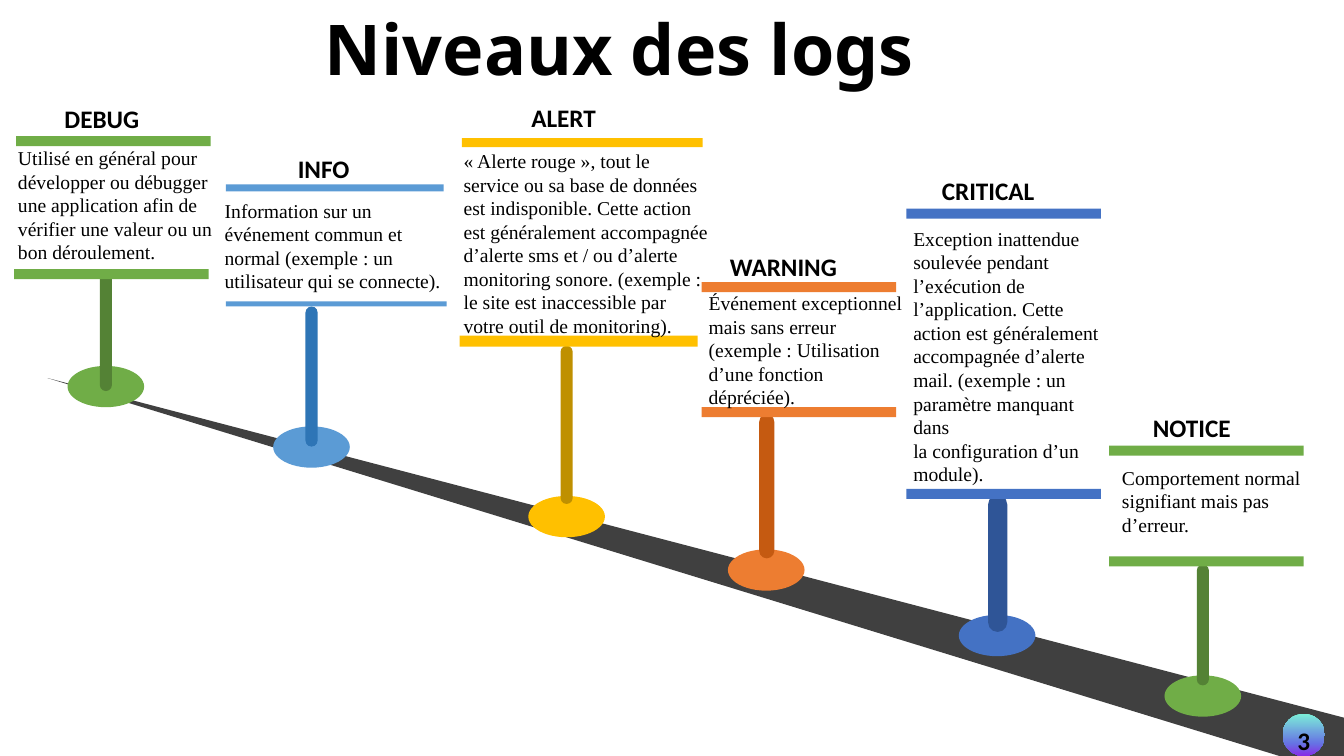
import copy

import pptx
import pptx.dml.color
import pptx.enum.shapes
import pptx.enum.text
import pptx.util

PX = 9144  # 100 px to the inch
SHAPE = pptx.enum.shapes.MSO_SHAPE
ALIGN = pptx.enum.text.PP_ALIGN
ANCHOR = pptx.enum.text.MSO_ANCHOR

DISC_WIDTH, DISC_HEIGHT = 76, 41
HEADING_WIDTH, HEADING_HEIGHT = 202, 40

# box: outer edges of the two bars; heading and body: offsets from the box;
# post: left, top, width, height from the box; disc: its top from the box;
# bars: thickness of the upper and lower bar; lower: shift and width of the lower bar
LEVELS = [
    dict(name="DEBUG", color="70AD47", dark="548235", box=(16, 135, 193, 142),
         bars=(10, 10), lower=(-2, 193), heading=(-16, -37), body=(-8, 5, 239, 128),
         post=(83, 133, 12, 120), disc=228,
         text=["Utilisé en général pour développer ou débugger une application "
               "afin de vérifier une valeur ou un bon déroulement."]),
    dict(name="INFO", color="5B9BD5", dark="2E75B6", box=(224, 183, 216, 121),
         bars=(7, 5), lower=(0, 219), heading=(-4, -36), body=(-11, 9, 241, 104),
         post=(79, 121, 12, 139), disc=240,
         text=["Information sur un événement commun et normal "
               "(exemple : un utilisateur qui se connecte)."]),
    dict(name="ALERT", color="FFC000", dark="BF9000", box=(458, 137, 239, 207),
         bars=(9, 11), lower=(-2, 236), heading=(0, -40), body=(-8, 6, 264, 199),
         post=(98, 206, 12, 157), disc=355,
         text=["« Alerte rouge », tout le service ou sa base de données "
               "est indisponible. Cette action",
               "est généralement accompagnée d’alerte sms et / ou d’alerte "
               "monitoring sonore. (exemple : le site est inaccessible par "
               "votre outil de monitoring)."]),
    dict(name="WARNING", color="ED7D31", dark="C55A11", box=(696, 280, 193, 134),
         bars=(10, 10), lower=(0, 193), heading=(-20, -36), body=(-3, 4, 214, 128),
         post=(57, 131, 15, 143), disc=265,
         text=["Événement exceptionnel mais sans erreur "
               "(exemple : Utilisation d’une fonction",
               "dépréciée)."]),
    dict(name="CRITICAL", color="4472C4", dark="2F5597", box=(899, 207, 193, 288),
         bars=(10, 10), lower=(0, 193), heading=(-20, -38), body=(-3, 13, 210, 269),
         post=(81, 284, 19, 136), disc=403,
         text=["Exception inattendue soulevée pendant l’exécution de "
               "l’application. Cette",
               "action est généralement accompagnée d’alerte mail. "
               "(exemple : un paramètre manquant dans",
               "la configuration d’un module)."]),
    dict(name="NOTICE", color="70AD47", dark="548235", box=(1100, 442, 193, 120),
         bars=(10, 10), lower=(0, 193), heading=(-19, -38), body=(3, 15, 210, 81),
         post=(87, 118, 12, 120), disc=228,
         text=["Comportement normal signifiant mais pas d’erreur."]),
]


def px(*lengths):
    return [pptx.util.Emu(round(length * PX)) for length in lengths]


def rgb(value):
    return pptx.dml.color.RGBColor.from_string(value)


def paint(shape, color):
    shape.shadow.inherit = False
    shape.line.fill.background()
    shape.fill.solid()
    shape.fill.fore_color.rgb = rgb(color)
    return shape


def add_block(slide, kind, box, color):
    return paint(slide.shapes.add_shape(kind, *px(*box)), color)


def write(frame, paragraphs, font="Calibri", size=18, bold=False, align=ALIGN.LEFT):
    frame.word_wrap = True
    frame.vertical_anchor = ANCHOR.TOP
    for index, words in enumerate(paragraphs):
        paragraph = frame.add_paragraph() if index else frame.paragraphs[0]
        paragraph.alignment = align
        run = paragraph.add_run()
        run.text = words
        run.font.name = font
        run.font.size = pptx.util.Pt(size)
        run.font.bold = bold
        run.font.color.rgb = rgb("000000")


def add_text(slide, box, paragraphs, **style):
    write(slide.shapes.add_textbox(*px(*box)).text_frame, paragraphs, **style)


def add_road(slide, corners):
    builder = slide.shapes.build_freeform(*corners[0], scale=PX)
    builder.add_line_segments(corners[1:], close=True)
    paint(builder.convert_to_shape(), "404040")


def add_level(slide, level):
    left, top, width, height = level["box"]
    color = level["color"]

    # Disc on the road, centred under its post
    post_x, post_y, post_width, post_height = level["post"]
    disc_left = left + post_x + (post_width - DISC_WIDTH) // 2
    add_block(slide, SHAPE.OVAL,
              (disc_left, top + level["disc"], DISC_WIDTH, DISC_HEIGHT), color)
    post = add_block(slide, SHAPE.ROUNDED_RECTANGLE,
                     (left + post_x, top + post_y, post_width, post_height), level["dark"])
    post.adjustments[0] = 0.5

    # Bars above and below the description
    upper_bar, lower_bar = level["bars"]
    shift, lower_width = level["lower"]
    add_block(slide, SHAPE.RECTANGLE, (left, top, width, upper_bar), color)
    add_block(slide, SHAPE.RECTANGLE,
              (left + shift, top + height - lower_bar, lower_width, lower_bar), color)

    # Heading and description
    heading_x, heading_y = level["heading"]
    add_text(slide, (left + heading_x, top + heading_y, HEADING_WIDTH, HEADING_HEIGHT),
             [level["name"]], bold=True, align=ALIGN.CENTER)
    body_x, body_y, body_width, body_height = level["body"]
    add_text(slide, (left + body_x, top + body_y, body_width, body_height),
             level["text"], font="Times New Roman", size=14)


def add_page_number(slide, box, number):
    badge = add_block(slide, SHAPE.OVAL, box, "FFFFFF")
    badge.fill.gradient()
    badge.fill.gradient_angle = 270
    stop_list = badge._element.xpath(".//a:gsLst")[0]
    stop_list.append(copy.deepcopy(stop_list[-1]))
    shades = [(0, "7CEFD8"), (0.71, "6672E4"), (1, "882BE5")]
    for stop, (position, color) in zip(badge.fill.gradient_stops, shades):
        stop.position = position
        stop.color.rgb = rgb(color)
    badge.text_frame.margin_left = badge.text_frame.margin_right = 0
    write(badge.text_frame, [number], bold=True, align=ALIGN.CENTER)


def main():
    deck = pptx.Presentation()
    deck.slide_width, deck.slide_height = px(1333, 750)
    slide = deck.slides.add_slide(deck.slide_layouts[6])

    add_road(slide, [(1333, 750), (1269, 750), (47, 375), (1333, 712)])
    for level in LEVELS:
        add_level(slide, level)
    add_text(slide, (312, 1, 715, 94), ["Niveaux des logs"],
             font="Noto Sans", size=50, bold=True)
    add_page_number(slide, (1272, 708, 42, 42), "3")

    deck.save("out.pptx")


if __name__ == "__main__":
    main()
